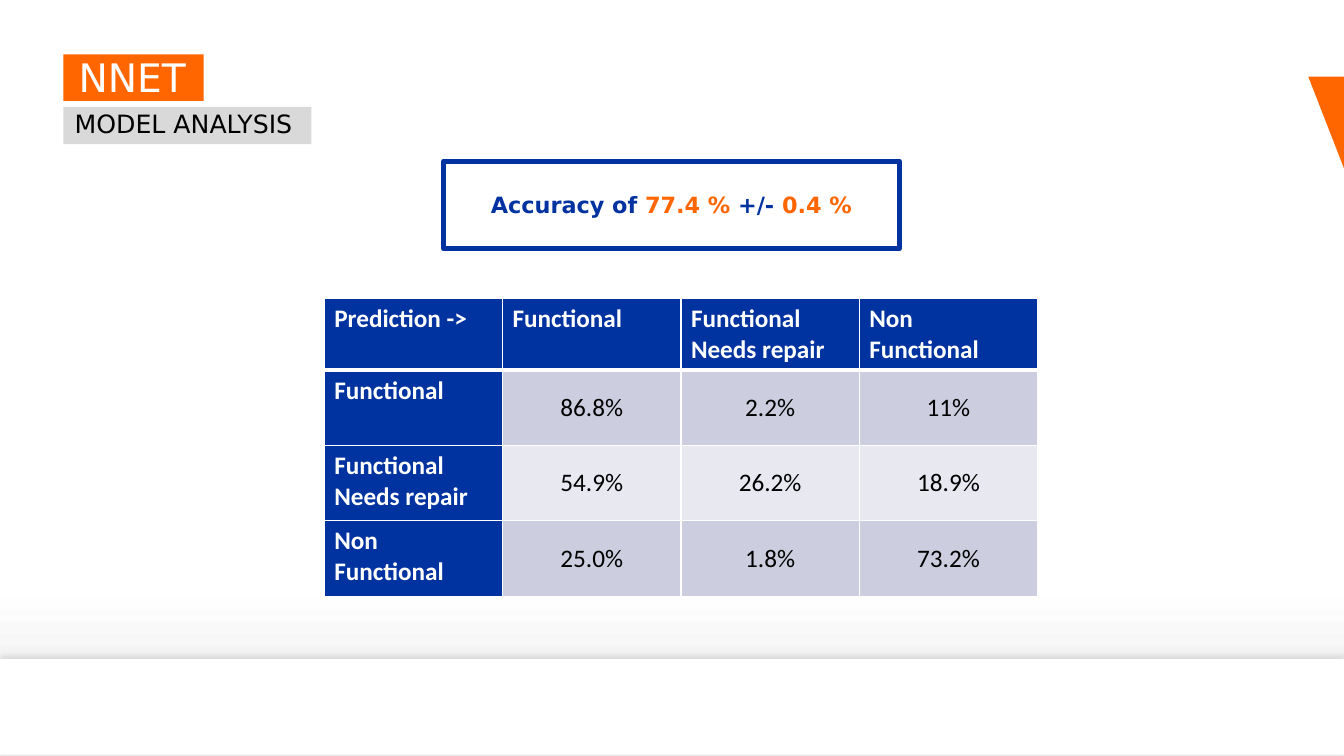
from lxml import etree
from pptx import Presentation
from pptx.dml.color import RGBColor
from pptx.enum.shapes import MSO_SHAPE
from pptx.enum.text import MSO_ANCHOR, MSO_AUTO_SIZE, PP_ALIGN
from pptx.oxml import parse_xml
from pptx.oxml.ns import nsdecls, qn
from pptx.util import Cm, Pt

RECT = MSO_SHAPE.RECTANGLE
TOP, MIDDLE, BOTTOM = MSO_ANCHOR.TOP, MSO_ANCHOR.MIDDLE, MSO_ANCHOR.BOTTOM
LEFT, CENTER = PP_ALIGN.LEFT, PP_ALIGN.CENTER
NO_AUTOFIT = MSO_AUTO_SIZE.NONE

WHITE = RGBColor(0xFF, 0xFF, 0xFF)
BLACK = RGBColor(0x00, 0x00, 0x00)
ORANGE = RGBColor(0xFF, 0x66, 0x00)
GREY = RGBColor(0xD9, 0xD9, 0xD9)
BLUE = RGBColor(0x00, 0x33, 0xA0)
HEADER_BLUE = RGBColor(0x00, 0x33, 0x9F)
BANDS = [RGBColor(0xCC, 0xCE, 0xDF), RGBColor(0xE7, 0xE8, 0xF0)]
BACK_STOPS = [(0, WHITE), (79, RGBColor(0xFE, 0xFE, 0xFE)), (92, RGBColor(0xED, 0xED, 0xED))]

HEADING_FONT = "DejaVu Sans"
TABLE_FONT = "Calibri"

CLASSES = ["Functional", "Functional\nNeeds repair", "Non\nFunctional"]
RATES = [
    ["86.8%", "2.2%", "11%"],
    ["54.9%", "26.2%", "18.9%"],
    ["25.0%", "1.8%", "73.2%"],
]


def add_run(p, text, font, size, color, bold=False):
    r = p.add_run()
    r.text = text
    r.font.name = font
    r.font.size = Pt(size)
    r.font.bold = bold
    r.font.color.rgb = color


def paint(sp, fill):
    sp.shadow.inherit = False
    sp.fill.solid()
    sp.fill.fore_color.rgb = fill
    sp.line.fill.background()


def draw_background(s):
    fill = s.background.fill
    fill.gradient()
    fill.gradient_angle = 270
    stops = s.background._cSld.find(".//" + qn("a:gsLst"))
    for stop in list(stops):
        stops.remove(stop)
    for position, color in BACK_STOPS:
        stop = etree.SubElement(stops, qn("a:gs"), pos=str(position * 1000))
        etree.SubElement(stop, qn("a:srgbClr"), val=str(color))


def draw_footer(s, x, y, w, h):
    sp = s.shapes.add_shape(RECT, Cm(x), Cm(y), Cm(w), Cm(h))
    paint(sp, WHITE)
    effects = sp._element.spPr.find(qn("a:effectLst"))
    effects.append(parse_xml(
        f'<a:outerShdw {nsdecls("a")} blurRad="{Pt(4)}" dist="{Pt(3)}" '
        'dir="16200000" algn="b" rotWithShape="0"><a:srgbClr val="000000">'
        '<a:alpha val="10000"/></a:srgbClr></a:outerShdw>'))


def draw_corner(s, x, y, w, h):
    builder = s.shapes.build_freeform(Cm(x), Cm(y))
    builder.add_line_segments([(Cm(x + w), Cm(y)), (Cm(x + w), Cm(y + h))])
    paint(builder.convert_to_shape(), ORANGE)


def fill_label(sp, box, text, size, color, fill, anchor, indent, spacing):
    sp.left, sp.top, sp.width, sp.height = map(Cm, box)
    sp.fill.solid()
    sp.fill.fore_color.rgb = fill
    tf = sp.text_frame
    tf.word_wrap = True
    tf.auto_size = NO_AUTOFIT
    tf.vertical_anchor = anchor
    tf.margin_left = tf.margin_right = 0
    tf.margin_top = Cm(0.1)
    tf.margin_bottom = 0
    p = tf.paragraphs[0]
    p.alignment = LEFT
    p.line_spacing = spacing
    p.space_before = Pt(0)
    pPr = p._p.get_or_add_pPr()
    pPr.set("marL", str(Cm(indent)))
    pPr.set("indent", "0")
    add_run(p, text, HEADING_FONT, size, color)


def draw_heading(s, x, y):
    title, subtitle = s.placeholders
    fill_label(title, (x, y, 3.53, 1.17), "NNET", 28, WHITE, ORANGE, BOTTOM, 0.38, 0.9)
    fill_label(subtitle, (x, y + 1.32, 6.25, 0.94), "MODEL ANALYSIS", 18, BLACK, GREY,
               TOP, 0.28, 0.95)


def draw_accuracy(s, x, y, w, h):
    sp = s.shapes.add_shape(RECT, Cm(x), Cm(y), Cm(w), Cm(h))
    paint(sp, WHITE)
    sp.line.color.rgb = BLUE
    sp.line.width = Pt(3.5)
    tf = sp.text_frame
    tf.vertical_anchor = MIDDLE
    p = tf.paragraphs[0]
    p.alignment = CENTER
    for text, color in [("Accuracy of ", BLUE), ("77.4 %", ORANGE),
                        (" +/- ", BLUE), ("0.4 %", ORANGE)]:
        add_run(p, text, HEADING_FONT, 16, color, True)


def set_borders(cell, widths):
    tcPr = cell._tc.get_or_add_tcPr()
    for side, width in zip("LRTB", widths):
        tcPr.append(parse_xml(
            f'<a:ln{side} {nsdecls("a")} w="{Pt(width)}"><a:solidFill>'
            f'<a:srgbClr val="{WHITE}"/></a:solidFill></a:ln{side}>'))


def draw_matrix(s, x, y, w, header_h, row_h):
    rows = [["Prediction ->"] + CLASSES]
    rows += [[name] + rates for name, rates in zip(CLASSES, RATES)]
    n = len(rows[0])
    height = header_h + row_h * len(RATES)
    table = s.shapes.add_table(len(rows), n, Cm(x), Cm(y), Cm(w), Cm(height)).table
    for column in table.columns:
        column.width = Cm(w / n)
    for i, values in enumerate(rows):
        table.rows[i].height = Cm(row_h if i else header_h)
        for j, value in enumerate(values):
            cell = table.cell(i, j)
            heading = i == 0 or j == 0
            set_borders(cell, (1, 1, 3 if i == 1 else 1, 3 if i == 0 else 1))
            cell.fill.solid()
            cell.fill.fore_color.rgb = HEADER_BLUE if heading else BANDS[(i - 1) % 2]
            cell.vertical_anchor = TOP if heading else MIDDLE
            tf = cell.text_frame
            for k, line in enumerate(value.split("\n")):
                p = tf.add_paragraph() if k else tf.paragraphs[0]
                p.alignment = LEFT if heading else CENTER
                add_run(p, line, TABLE_FONT, 18, WHITE if heading else BLACK, heading)


def main():
    prs = Presentation()
    prs.slide_width, prs.slide_height = Cm(33.87), Cm(19.05)
    s = prs.slides.add_slide(prs.slide_layouts[0])
    draw_background(s)
    draw_footer(s, 0, 16.61, 33.87, 2.41)
    draw_corner(s, 32.97, 1.93, 0.9, 2.31)
    draw_heading(s, 1.6, 1.37)
    draw_accuracy(s, 11.18, 4.06, 11.48, 2.21)
    draw_matrix(s, 8.17, 7.52, 17.98, 1.8, 1.9)
    prs.save("out.pptx")


if __name__ == "__main__":
    main()
